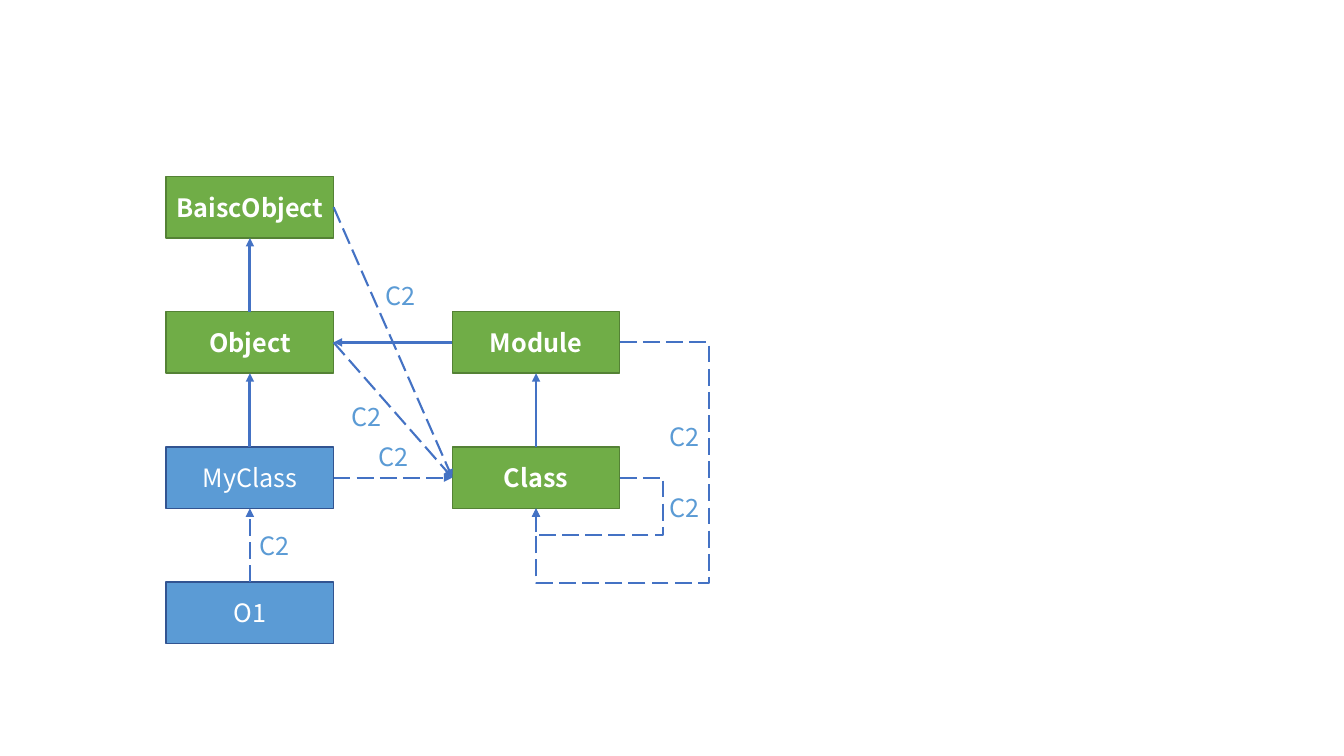
"""Ruby class hierarchy: superclass arrows are solid, class-of arrows are dashed."""
from dataclasses import dataclass

from lxml.etree import SubElement
from pptx import Presentation
from pptx.dml.color import RGBColor
from pptx.enum.dml import MSO_LINE
from pptx.enum.shapes import MSO_CONNECTOR, MSO_SHAPE
from pptx.enum.text import MSO_ANCHOR, MSO_AUTO_SIZE, PP_ALIGN
from pptx.oxml.ns import qn
from pptx.util import Pt


@dataclass(frozen=True)
class Theme:
    font: str = "Noto Sans CJK SC"
    size: int = 18
    white: str = "FFFFFF"
    builtin: tuple = ("70AD47", "548235")
    custom: tuple = ("5B9BD5", "325491")
    label: str = "5B9BD5"
    arrow: str = "4472C4"
    border_width: float = 1
    solid_width: float = 2
    dashed_width: float = 1.5


THEME = Theme()
TOP, LEFT, BOTTOM, RIGHT = range(4)

# name, column, row, built in
CLASSES = [
    ("BaiscObject", 0, 0, True),
    ("Object", 0, 1, True),
    ("Module", 1, 1, True),
    ("MyClass", 0, 2, False),
    ("Class", 1, 2, True),
    ("O1", 0, 3, False),
]
SUPERCLASS_ARROWS = [
    ("Object", TOP, "BaiscObject", BOTTOM),
    ("MyClass", TOP, "Object", BOTTOM),
    ("Class", TOP, "Module", BOTTOM),
    ("Module", LEFT, "Object", RIGHT),
]
CLASS_OF_ARROWS = [
    ("O1", TOP, "MyClass", BOTTOM),
    ("MyClass", RIGHT, "Class", LEFT),
    ("Object", RIGHT, "Class", LEFT),
    ("BaiscObject", RIGHT, "Class", LEFT),
]
# start, reach to the right, drop below the end box
CLASS_OF_LOOPS = [("Module", 63.8, 53), ("Class", 31, 19.2)]
CLASS_OF_LABEL = "C2"
LABEL_PLACES = [(178.5, 375.3), (263, 312), (244.2, 283.3),
                (471.2, 297.3), (268.5, 196.5), (471.2, 348.3)]

GRID_LEFT, GRID_TOP = 118.7, 126
COLUMN_STEP, ROW_STEP = 204.4, 96.6
BOX_WIDTH, BOX_HEIGHT = 119.6, 44
LABEL_WIDTH, LABEL_HEIGHT = 36.7, 29


def rgb(value):
    return RGBColor.from_string(value)


def write(shape, text, color, bold=False):
    paragraph = shape.text_frame.paragraphs[0]
    paragraph.text = text
    font = paragraph.font
    font.name, font.size, font.bold = THEME.font, Pt(THEME.size), bold
    font.color.rgb = rgb(color)
    return paragraph


def add_box(slide, name, column, row, builtin):
    box = slide.shapes.add_shape(
        MSO_SHAPE.RECTANGLE,
        Pt(GRID_LEFT + column * COLUMN_STEP), Pt(GRID_TOP + row * ROW_STEP),
        Pt(BOX_WIDTH), Pt(BOX_HEIGHT))
    fill, border = THEME.builtin if builtin else THEME.custom
    box.shadow.inherit = False
    box.fill.solid()
    box.fill.fore_color.rgb = rgb(fill)
    box.line.color.rgb = rgb(border)
    box.line.width = Pt(THEME.border_width)
    box.text_frame.vertical_anchor = MSO_ANCHOR.MIDDLE
    box.text_frame.word_wrap = False
    write(box, name, THEME.white, builtin).alignment = PP_ALIGN.CENTER
    return box


def add_arrow(slide, start, start_side, end, end_side, dashed, kind=MSO_CONNECTOR.STRAIGHT):
    arrow = slide.shapes.add_connector(kind, 0, 0, 0, 0)
    arrow.begin_connect(start, start_side)
    arrow.end_connect(end, end_side)
    arrow.line.color.rgb = rgb(THEME.arrow)
    arrow.line.width = Pt(THEME.dashed_width if dashed else THEME.solid_width)
    if dashed:
        arrow.line.dash_style = MSO_LINE.LONG_DASH
    SubElement(arrow.line._get_or_add_ln(), qn("a:tailEnd"), type="triangle")
    SubElement(arrow._element.spPr, qn("a:effectLst"))
    return arrow


def add_loop(slide, start, end, reach, drop):
    loop = add_arrow(slide, start, RIGHT, end, BOTTOM, True, MSO_CONNECTOR.ELBOW)
    geometry = loop._element.spPr.find(qn("a:prstGeom"))
    geometry.set("prst", "bentConnector4")
    guides = geometry.find(qn("a:avLst"))
    ratios = (-Pt(reach) / loop.width, 1 + Pt(drop) / loop.height)
    for number, ratio in enumerate(ratios, 1):
        SubElement(guides, qn("a:gd"), name=f"adj{number}", fmla=f"val {round(ratio * 100000)}")


def add_label(slide, left, top):
    label = slide.shapes.add_textbox(Pt(left), Pt(top), Pt(LABEL_WIDTH), Pt(LABEL_HEIGHT))
    label.text_frame.word_wrap = False
    label.text_frame.auto_size = MSO_AUTO_SIZE.SHAPE_TO_FIT_TEXT
    write(label, CLASS_OF_LABEL, THEME.label)


def main():
    deck = Presentation()
    deck.slide_width, deck.slide_height = Pt(960), Pt(540)
    slide = deck.slides.add_slide(deck.slide_layouts[6])
    boxes = {entry[0]: add_box(slide, *entry) for entry in CLASSES}
    for arrows, dashed in ((SUPERCLASS_ARROWS, False), (CLASS_OF_ARROWS, True)):
        for start, start_side, end, end_side in arrows:
            add_arrow(slide, boxes[start], start_side, boxes[end], end_side, dashed)
    for start, reach, drop in CLASS_OF_LOOPS:
        add_loop(slide, boxes[start], boxes["Class"], reach, drop)
    for left, top in LABEL_PLACES:
        add_label(slide, left, top)
    deck.save("out.pptx")


if __name__ == "__main__":
    main()
